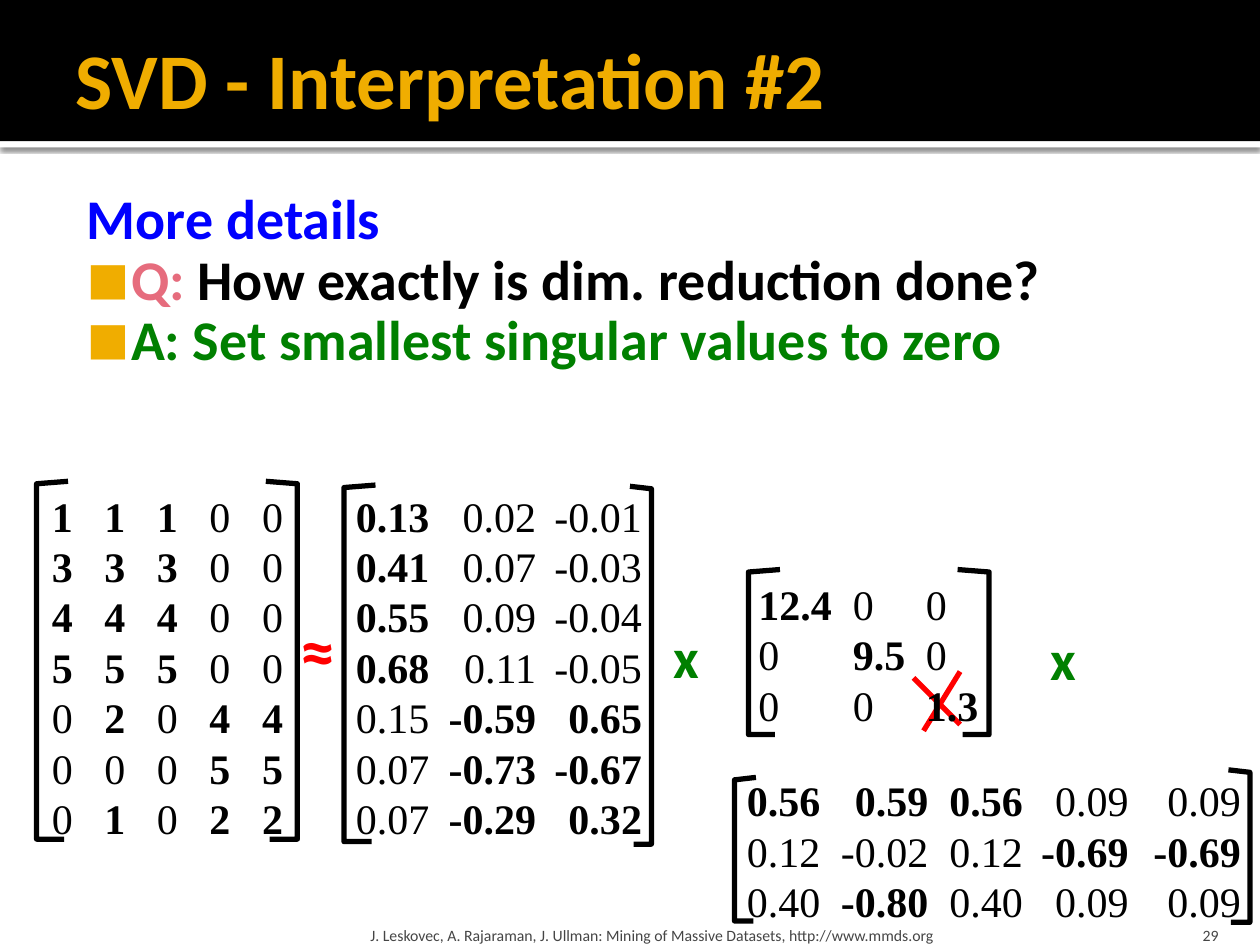
from dataclasses import dataclass
from itertools import groupby

from lxml import etree
from pptx import Presentation
from pptx import util as u
from pptx.dml.color import RGBColor
from pptx.enum import shapes, text
from pptx.oxml import parse_xml
from pptx.oxml.ns import nsdecls, qn

COLS, ROWS = 100, 75
GOLD, BLACK, GREEN, RED, GRAY = "F0AD00", "000000", "008000", "FF0000", "454545"


@dataclass
class Label:
    words: str
    box: tuple
    size: float
    hue: str
    bold: bool = True
    align: text.PP_ALIGN = text.PP_ALIGN.LEFT
    anchor: text.MSO_ANCHOR = text.MSO_ANCHOR.MIDDLE
    wrap: bool = False
    insets: tuple = (1, 0.5, 1, 0.5)


@dataclass
class Bracket:
    tip: float
    edge: float
    foot: float
    top: float
    bottom: float


@dataclass
class Matrix:
    box: tuple
    indent: float
    tabs: tuple
    tab_align: str
    rows: tuple
    brackets: tuple


def cells(n: float) -> int:
    return u.Inches(n * 10 / COLS)


def color(hex_code: str) -> RGBColor:
    return RGBColor.from_string(hex_code)


def style(font, size: float, hue: str, bold: bool = True, name: str = "Calibri") -> None:
    font.name, font.size, font.bold = name, u.Pt(size), bold
    font.color.rgb = color(hue)


def place(sp, box: tuple) -> None:
    sp.left, sp.top, sp.width, sp.height = map(cells, box)


def set_frame(tf, insets: tuple, anchor, wrap: bool = True) -> None:
    tf.margin_left, tf.margin_top, tf.margin_right, tf.margin_bottom = map(cells, insets)
    tf.vertical_anchor, tf.word_wrap = anchor, wrap
    tf.auto_size = text.MSO_AUTO_SIZE.NONE


def add_run(p, words: str, *look) -> None:
    r = p.add_run()
    r.text = words
    style(r.font, *look)


def draw_bar(s, box: tuple, hue: str, level: int):
    sp = s.shapes.add_shape(shapes.MSO_SHAPE.RECTANGLE, *map(cells, box))
    sp.shadow.inherit = False
    sp.fill.solid()
    sp.fill.fore_color.rgb = color(hue)
    sp.line.fill.background()
    s.shapes._spTree.insert(level, sp._element)
    return sp


def add_shadow(sp) -> None:
    effects = sp._element.spPr.find(qn("a:effectLst"))
    effects.append(parse_xml(
        f'<a:outerShdw {nsdecls("a")} blurRad="{u.Pt(2.5)}" dist="{u.Pt(0.8)}" dir="5400000">'
        f'<a:srgbClr val="{BLACK}"><a:alpha val="60000"/></a:srgbClr></a:outerShdw>'))


def set_bullet(p, shown: bool) -> None:
    pPr = p._p.get_or_add_pPr()
    pPr.set("marL", str(cells(4.8 if shown else 4.8)))
    pPr.set("indent", str(cells(-3.5)))
    if not shown:
        etree.SubElement(pPr, qn("a:buNone"))
        return
    hue = etree.SubElement(pPr, qn("a:buClr"))
    etree.SubElement(hue, qn("a:srgbClr"), val=GOLD)
    etree.SubElement(pPr, qn("a:buSzPct"), val="80000")
    etree.SubElement(pPr, qn("a:buFont"), typeface="Calibri")
    etree.SubElement(pPr, qn("a:buChar"), char="■")


def draw_label(s, label: Label) -> None:
    tf = s.shapes.add_textbox(*map(cells, label.box)).text_frame
    set_frame(tf, label.insets, label.anchor, label.wrap)
    p = tf.paragraphs[0]
    p.alignment = label.align
    add_run(p, label.words, label.size, label.hue, label.bold)


def draw_bracket(s, b: Bracket) -> None:
    pen = s.shapes.build_freeform(cells(b.tip), cells(b.top))
    corners = [(b.edge, b.top + 0.2), (b.edge, b.bottom), (b.foot, b.bottom)]
    pen.add_line_segments([(cells(x), cells(y)) for x, y in corners], close=False)
    sp = pen.convert_to_shape()
    sp.shadow.inherit = False
    sp.fill.background()
    sp.line.color.rgb, sp.line.width = color(BLACK), u.Pt(3)


def draw_matrix(s, m: Matrix) -> None:
    for b in m.brackets:
        draw_bracket(s, b)
    tf = s.shapes.add_textbox(*map(cells, m.box)).text_frame
    set_frame(tf, (m.indent, 0.7, 0, 0.3), text.MSO_ANCHOR.TOP)
    for i, row in enumerate(m.rows):
        p = tf.add_paragraph() if i else tf.paragraphs[0]
        p.line_spacing = u.Pt(28.8)
        tab_list = etree.SubElement(p._p.get_or_add_pPr(), qn("a:tabLst"))
        for tab in m.tabs:
            etree.SubElement(tab_list, qn("a:tab"), pos=str(cells(tab)), algn=m.tab_align)
        lead = ""
        for bold, values in groupby(row.split(), key=lambda v: v.startswith("*")):
            add_run(p, lead + "\t".join(v.lstrip("*") for v in values),
                    24, BLACK, bold, "Times New Roman")
            lead = "\t"


def draw_stroke(s, start: tuple, end: tuple) -> None:
    line = s.shapes.add_connector(shapes.MSO_CONNECTOR.STRAIGHT, *map(cells, start + end))
    line.line.color.rgb, line.line.width = color(RED), u.Pt(3)
    etree.SubElement(line._element.spPr, qn("a:effectLst"))


BODY = (
    (("More details", "0000FF"),),
    (("Q:", "E66C7D"), (" How exactly is dim. reduction done?", BLACK)),
    (("A: Set smallest singular values to zero", GREEN),),
)
MATRICES = (
    Matrix((2.5, 38.2, 21.7, 29.3), 1.62, tuple(4.17 * k for k in range(1, 5)), "l",
           ("*1 *1 *1 0 0", "*3 *3 *3 0 0", "*4 *4 *4 0 0", "*5 *5 *5 0 0",
            "0 *2 0 *4 *4", "0 0 0 *5 *5", "0 *1 0 *2 *2"),
           (Bracket(5.4, 2.9, 5.1, 38.2, 66.6), Bracket(21.1, 23.6, 21.4, 38.2, 66.6))),
    Matrix((25.9, 38.2, 27.5, 29.3), 2.35, (14.3, 22.7), "r",
           ("*0.13 0.02 -0.01", "*0.41 0.07 -0.03", "*0.55 0.09 -0.04", "*0.68 0.11 -0.05",
            "0.15 *-0.59 *0.65", "0.07 *-0.73 *-0.67", "0.07 *-0.29 *0.32"),
           (Bracket(29.8, 27.3, 29.5, 38.5, 66.8), Bracket(50, 51.7, 50.3, 38.6, 67))),
    Matrix((59.2, 45.2, 21.7, 13.1), 1, (7.5, 13.3), "l",
           ("*12.4 0 0", "0 *9.5 0", "0 0 *1.3"),
           (Bracket(61.9, 59.4, 61.5, 45.2, 58.3), Bracket(76, 78.5, 76.4, 45.2, 58.3))),
    Matrix((58.3, 60.8, 41.7, 13.1), 1, (14.4, 21.9, 30.3, 39.2), "r",
           ("*0.56 *0.59 *0.56 0.09 0.09", "0.12 -0.02 0.12 *-0.69 *-0.69",
            "0.40 *-0.80 0.40 0.09 0.09"),
           (Bracket(60, 58.3, 59.8, 61.7, 73.1), Bracket(97.5, 99.2, 97.7, 61.1, 73.2))),
)
LABELS = (
    Label("x", (52.5, 48.9, 4.4, 6.4), 32, GREEN),
    Label("x", (82.4, 49, 4.4, 6.4), 32, GREEN),
    Label("≈", (22.9, 47.6, 5.1, 7.7), 40, RED),
    Label("J. Leskovec, A. Rajaraman, J. Ullman: Mining of Massive Datasets, http://www.mmds.org",
          (28.9, 72, 60.2, 3), 9, GRAY, False, anchor=text.MSO_ANCHOR.BOTTOM, wrap=True,
          insets=(0.5, 0.5, 0.5, 0)),
    Label("29", (89.7, 72, 8, 3), 9, GRAY, False, text.PP_ALIGN.RIGHT,
          text.MSO_ANCHOR.BOTTOM, True, (1, 0.5, 1, 0)),
)


def main() -> None:
    prs = Presentation()
    prs.slide_width, prs.slide_height = cells(COLS), cells(ROWS)
    s = prs.slides.add_slide(prs.slide_layouts[1])
    title, body = s.placeholders

    add_shadow(draw_bar(s, (0, 11.2, COLS, 0.5), "FFFFFF", 2))
    draw_bar(s, (0, 0, COLS, 11.2), BLACK, 3)

    place(title, (5, 0.8, 90, 10.8))
    set_frame(title.text_frame, (1, 0.5, 0.5, 0.5), text.MSO_ANCHOR.MIDDLE)
    p = title.text_frame.paragraphs[0]
    p.alignment = text.PP_ALIGN.LEFT
    add_run(p, "SVD - Interpretation #2", 45, GOLD)

    place(body, (5, 14.2, 90, 57.5))
    tf = body.text_frame
    set_frame(tf, (0.6, 1, 1, 0.5), text.MSO_ANCHOR.TOP)
    for i, parts in enumerate(BODY):
        p = tf.add_paragraph() if i else tf.paragraphs[0]
        p.line_spacing, p.space_before = 0.9, u.Pt(0)
        set_bullet(p, shown=i > 0)
        for words, hue in parts:
            add_run(p, words, 32, hue)

    draw_stroke(s, (73.3, 58), (76.2, 53.3))
    draw_stroke(s, (72.5, 53.8), (76.2, 57.5))
    for m in MATRICES:
        draw_matrix(s, m)
    for label in LABELS:
        draw_label(s, label)
    prs.save("out.pptx")


if __name__ == "__main__":
    main()
